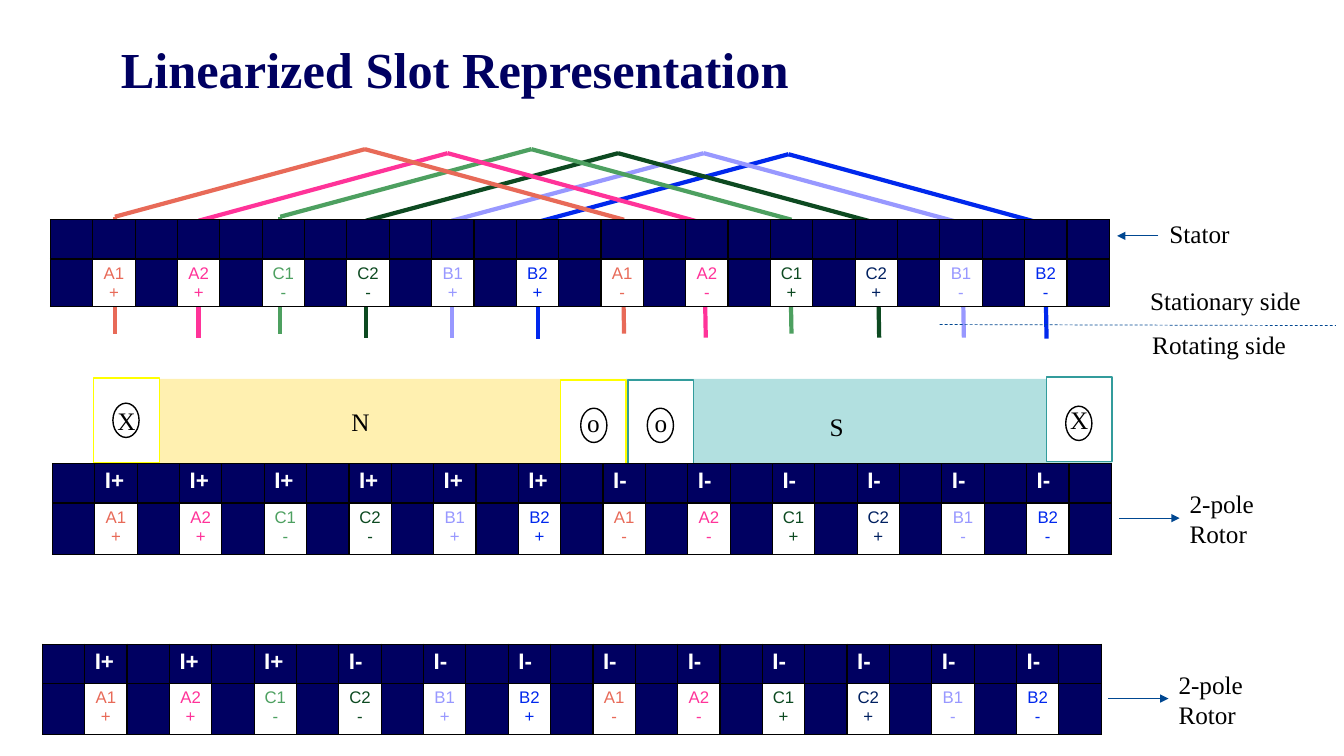
from dataclasses import dataclass

from lxml import etree
from pptx import Presentation
from pptx.dml.color import RGBColor
from pptx.enum.dml import MSO_LINE
from pptx.enum.shapes import MSO_CONNECTOR, MSO_SHAPE
from pptx.enum.text import MSO_ANCHOR, PP_ALIGN
from pptx.oxml.ns import qn
from pptx.util import Inches, Pt

STRAIGHT = MSO_CONNECTOR.STRAIGHT
RECTANGLE = MSO_SHAPE.RECTANGLE
OVAL = MSO_SHAPE.OVAL
DASH = MSO_LINE.DASH
LEFT, CENTER = PP_ALIGN.LEFT, PP_ALIGN.CENTER
TOP, MIDDLE = MSO_ANCHOR.TOP, MSO_ANCHOR.MIDDLE


@dataclass(frozen=True)
class Theme:
    serif: str = "Times New Roman"
    sans: str = "Arial"
    title_size: int = 36
    label_size: int = 18
    current_size: int = 16
    slot_size: int = 12
    navy: str = "000061"
    black: str = "000000"
    white: str = "FFFFFF"
    arrow: str = "004791"
    north: str = "FFF0B0"
    south: str = "B2E0E0"
    yellow: str = "FFFF00"
    teal: str = "339C9C"
    coral: str = "E86A58"
    pink: str = "FF3399"
    green: str = "4DA060"
    forest: str = "0D4A21"
    lilac: str = "9898FF"
    blue: str = "0028ED"
    ink: str = "002060"


theme = Theme()


def write_text(frame, text, size=theme.label_size, font=theme.serif, color=theme.black,
               bold=False, align=LEFT, anchor=TOP, spacing=None):
    frame.word_wrap = True
    frame.vertical_anchor = anchor
    for number, line in enumerate(text.split("\n")):
        para = frame.add_paragraph() if number else frame.paragraphs[0]
        para.alignment = align
        if spacing:
            para.line_spacing = spacing
        span = para.add_run()
        span.text = line
        span.font.size = Pt(size)
        span.font.name = font
        span.font.bold = bold
        span.font.color.rgb = RGBColor.from_string(color)


def add_line(page, start, end, color=theme.arrow, width=0.5, arrow=False, dash=None):
    line = page.shapes.add_connector(STRAIGHT, *(Inches(value) for value in (*start, *end)))
    line.line.color.rgb = RGBColor.from_string(color)
    line.line.width = Pt(width)
    if dash:
        line.line.dash_style = dash
    if arrow:
        etree.SubElement(line.line._get_or_add_ln(), qn("a:tailEnd"), type="triangle")
    etree.SubElement(line._element.spPr, qn("a:effectLst"))


deck = Presentation()
deck.slide_width, deck.slide_height = Inches(13.33), Inches(7.5)
page = deck.slides.add_slide(deck.slide_layouts[6])

coils = [
    (theme.blue, 7.82, 1.53, 5.34, 10.38),
    (theme.lilac, 6.98, 1.52, 4.48, 9.56),
    (theme.forest, 6.13, 1.52, 3.63, 8.72),
    (theme.green, 5.27, 1.48, 2.78, 7.85),
    (theme.pink, 4.44, 1.52, 1.97, 7.0),
    (theme.coral, 3.62, 1.48, 1.14, 6.19),
]
for color, peak, top, left, right in coils:
    for foot, drop, lean in ((left, 0.67, 0), (right, 0.7, 0.02)):
        add_line(page, (peak, top), (foot, top + drop), color, 3)
        add_line(page, (foot, top + 1.83), (foot - lean, top + drop), color, 3)

title = page.shapes.add_textbox(Inches(1.1), Inches(0.33), Inches(12.02), Inches(0.62))
title.text_frame.margin_top = Inches(0.12)
write_text(title.text_frame, "Linearized Slot Representation", size=theme.title_size,
           color=theme.navy, bold=True, spacing=0.9)

blocks = [
    (0.93, 3.76, 5.29, theme.north, None, "N", None),
    (6.21, 3.76, 4.82, theme.south, None, "", None),
    (0.93, 3.75, 0.65, theme.white, theme.yellow, "X", (1.12, 4.0)),
    (5.56, 3.77, 0.65, theme.white, theme.yellow, "o", (5.76, 4.05)),
    (6.23, 3.77, 0.65, theme.white, theme.teal, "o", (6.42, 4.05)),
    (10.38, 3.74, 0.65, theme.white, theme.teal, "X", (10.57, 4.03)),
]
for left, top, width, fill, outline, text, ring_corner in blocks:
    block = page.shapes.add_shape(RECTANGLE, Inches(left), Inches(top), Inches(width), Inches(0.84))
    block.shadow.inherit = False
    block.fill.solid()
    block.fill.fore_color.rgb = RGBColor.from_string(fill)
    if outline:
        block.line.color.rgb = RGBColor.from_string(outline)
        block.line.width = Pt(1)
    else:
        block.line.fill.background()
    if text:
        write_text(block.text_frame, text, align=CENTER, anchor=MIDDLE)
    if ring_corner:
        ring = page.shapes.add_shape(OVAL, *map(Inches, ring_corner), Inches(0.26), Inches(0.34))
        ring.shadow.inherit = False
        ring.fill.background()
        ring.line.color.rgb = RGBColor.from_string(theme.black)
        ring.line.width = Pt(1)

labels = [
    ("S", 8.13, 4.03, 0.34, 0.4),
    ("Stator", 11.5, 2.12, 0.99, 0.4),
    ("2-pole Rotor", 11.7, 4.79, 1.22, 0.71),
    ("Rotating side", 11.33, 3.22, 2, 0.4),
    ("Stationary side", 11.31, 2.78, 2, 0.4),
    ("2-pole Rotor", 11.59, 6.59, 1.22, 0.71),
]
for text, *place in labels:
    box = page.shapes.add_textbox(*map(Inches, place))
    write_text(box.text_frame, text)

add_line(page, (11.49, 2.34), (11.08, 2.34), arrow=True)
add_line(page, (11.1, 5.14), (11.7, 5.14), arrow=True)
add_line(page, (10.99, 6.93), (11.59, 6.93), arrow=True)
add_line(page, (9.32, 3.22), (13.25, 3.23), dash=DASH)

slots = [
    ("A1\n+", theme.coral), ("A2\n+", theme.pink), ("C1\n-", theme.green),
    ("C2\n-", theme.forest), ("B1\n+", theme.lilac), ("B2\n+", theme.blue),
    ("A1\n-", theme.coral), ("A2\n-", theme.pink), ("C1\n+", theme.forest),
    ("C2\n+", theme.ink), ("B1\n-", theme.lilac), ("B2\n-", theme.blue),
]
column_count = 2 * len(slots) + 1
windings = [
    (0.5, 2.18, 0.47, ""),
    (0.52, 4.6, 0.51, "++++++------"),
    (0.42, 6.39, 0.51, "+++---------"),
]
for left, top, slot_height, currents in windings:
    table = page.shapes.add_table(2, column_count, Inches(left), Inches(top),
                                  Inches(10.51), Inches(0.39 + slot_height)).table
    table.first_row = table.horz_banding = False
    table.rows[0].height, table.rows[1].height = Inches(0.39), Inches(slot_height)
    for column in table.columns:
        column.width = Inches(10.51 / column_count)
    for cell in table.iter_cells():
        for side in ("lnL", "lnR", "lnT", "lnB"):
            border = etree.SubElement(cell._tc.get_or_add_tcPr(), qn(f"a:{side}"), w=str(Pt(1)))
            paint = etree.SubElement(border, qn("a:solidFill"))
            etree.SubElement(paint, qn("a:srgbClr"), val=theme.black)
        cell.fill.solid()
        cell.fill.fore_color.rgb = RGBColor.from_string(theme.navy)
        cell.margin_left = cell.margin_right = cell.margin_top = Inches(0.05)
        cell.margin_bottom = 0
    for number, (name, color) in enumerate(slots):
        slot = table.cell(1, 2 * number + 1)
        slot.fill.fore_color.rgb = RGBColor.from_string(theme.white)
        write_text(slot.text_frame, name, size=theme.slot_size, font=theme.sans,
                   color=color, align=CENTER)
        if currents:
            current = table.cell(0, 2 * number + 1)
            current.margin_left = Inches(0.1)
            write_text(current.text_frame, f"I{currents[number]}", size=theme.current_size,
                       font=theme.sans, color=theme.white, bold=True)

deck.save("out.pptx")
